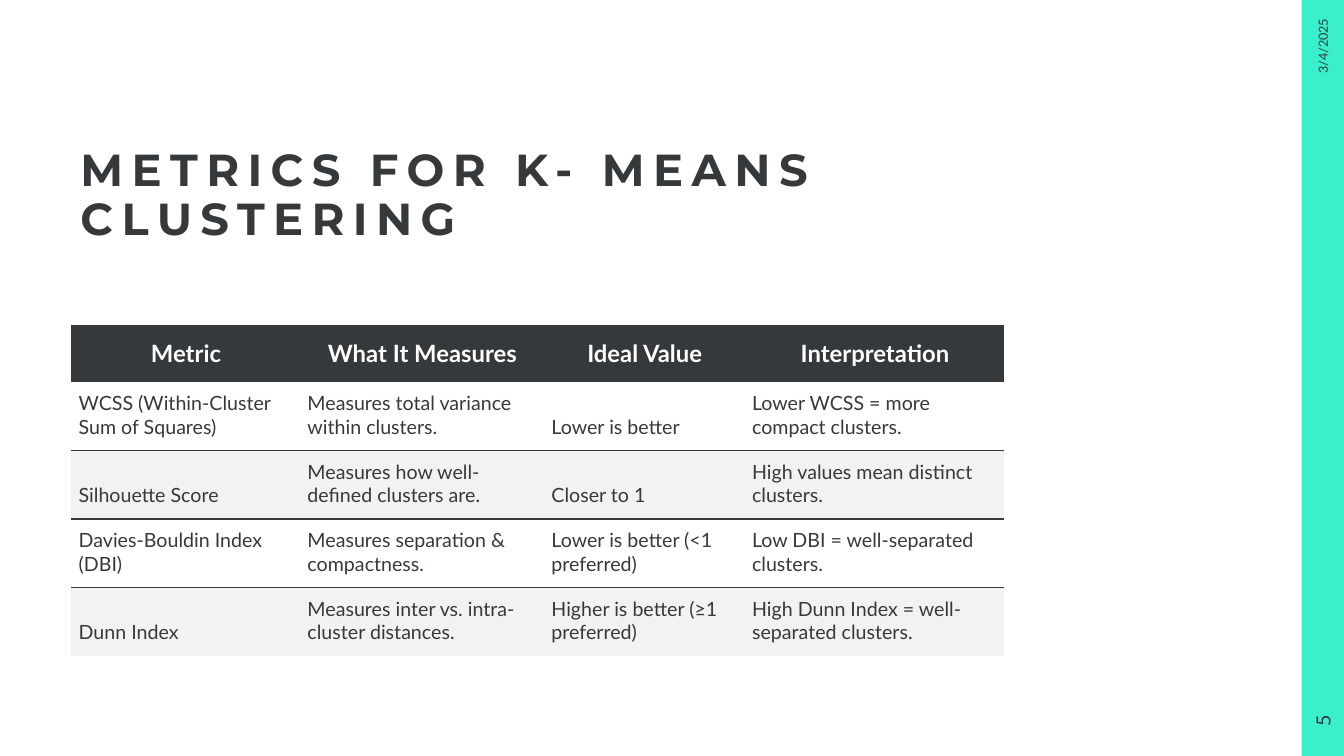
from dataclasses import dataclass

from lxml import etree
from pptx import Presentation
from pptx.dml.color import RGBColor
from pptx.enum.shapes import MSO_SHAPE
from pptx.enum.text import MSO_ANCHOR, PP_ALIGN
from pptx.oxml.ns import qn
from pptx.util import Inches, Pt

RECTANGLE = MSO_SHAPE.RECTANGLE
MIDDLE, BOTTOM = MSO_ANCHOR.MIDDLE, MSO_ANCHOR.BOTTOM
LEFT, CENTER = PP_ALIGN.LEFT, PP_ALIGN.CENTER
NO_STYLE = "{2D5ABB26-0587-4C30-8999-92F81FD0307C}"


@dataclass(frozen=True)
class Theme:
    dark: str = "36393B"
    white: str = "FFFFFF"
    accent: str = "3AEFCC"
    band: str = "F2F2F2"
    body: str = "Lato"
    heading: str = "Montserrat"
    title_size: int = 32
    header_size: int = 17
    body_size: int = 14
    date_size: int = 9
    spacing: int = 6


THEME = Theme()
COLUMN_WIDTHS = (2.27, 2.42, 1.99, 2.58)
HEADER_HEIGHT, ROW_HEIGHT = 0.57, 0.68
METRICS = (
    ("Metric", "What It Measures", "Ideal Value", "Interpretation"),
    ("WCSS (Within-Cluster Sum of Squares)", "Measures total variance within clusters.",
     "Lower is better", "Lower WCSS = more compact clusters."),
    ("Silhouette Score", "Measures how well-defined clusters are.",
     "Closer to 1", "High values mean distinct clusters."),
    ("Davies-Bouldin Index (DBI)", "Measures separation & compactness.",
     "Lower is better (<1 preferred)", "Low DBI = well-separated clusters."),
    ("Dunn Index", "Measures inter vs. intra-cluster distances.",
     "Higher is better (≥1 preferred)", "High Dunn Index = well-separated clusters."),
)


def set_attributes(target, values):
    for name, value in values.items():
        setattr(target, name, value)


def set_margins(target, left, top, right, bottom):
    set_attributes(target, {
        "margin_left": Inches(left), "margin_top": Inches(top),
        "margin_right": Inches(right), "margin_bottom": Inches(bottom),
    })


def write_text(tf, text, size, color=THEME.dark, font=THEME.body, bold=False, **paragraph):
    p = tf.paragraphs[0]
    set_attributes(p, paragraph)
    r = p.add_run()
    r.text = text
    set_attributes(r.font, {"name": font, "size": Pt(size), "bold": bold})
    r.font.color.rgb = RGBColor.from_string(color)
    return r


def add_text_box(s, box, anchor, rotation=0):
    sp = s.shapes.add_textbox(*map(Inches, box))
    sp.rotation = rotation
    set_attributes(sp.text_frame, {"word_wrap": True, "vertical_anchor": anchor})
    return sp.text_frame


def add_title(s, text):
    tf = add_text_box(s, (0.7, 0.73, 9.26, 1.7), BOTTOM)
    set_margins(tf, 0.1, 0.1, 0, 0)
    r = write_text(tf, text, THEME.title_size, font=THEME.heading, bold=True, line_spacing=0.9)
    r.font._element.set("spc", str(THEME.spacing * 100))


def add_side_bar(s):
    sp = s.shapes.add_shape(RECTANGLE, Inches(12.91), 0, Inches(0.42), Inches(7.5))
    sp.shadow.inherit = False
    sp.fill.solid()
    sp.fill.fore_color.rgb = RGBColor.from_string(THEME.accent)
    sp.line.fill.background()


def add_side_text(s, text, box, size):
    tf = add_text_box(s, box, MIDDLE, 270)
    write_text(tf, text, size, alignment=CENTER, space_after=Pt(6))


def add_border(cell, side):
    line = etree.SubElement(cell._tc.get_or_add_tcPr(), qn(f"a:{side}"), w=str(Pt(1)))
    fill = etree.SubElement(line, qn("a:solidFill"))
    etree.SubElement(fill, qn("a:srgbClr"), val=THEME.dark)


def format_cell(cell, text, row):
    header, banded = row == 0, row > 0 and row % 2 == 0
    cell.vertical_anchor = MIDDLE if header else BOTTOM
    set_margins(cell, 0.08, 0.12 if header else 0.03, 0.06, 0.12)
    if banded:
        add_border(cell, "lnT")
    elif row:
        add_border(cell, "lnB")
    if header or banded:
        cell.fill.solid()
        cell.fill.fore_color.rgb = RGBColor.from_string(THEME.dark if header else THEME.band)
    else:
        cell.fill.background()
    write_text(cell.text_frame, text,
               THEME.header_size if header else THEME.body_size,
               color=THEME.white if header else THEME.dark,
               bold=header, alignment=CENTER if header else LEFT)


def add_metrics_table(s):
    heights = [HEADER_HEIGHT] + [ROW_HEIGHT] * (len(METRICS) - 1)
    frame = s.shapes.add_table(len(heights), len(COLUMN_WIDTHS), Inches(0.7), Inches(3.22),
                               Inches(sum(COLUMN_WIDTHS)), Inches(sum(heights)))
    table = frame.table
    table._tbl.tblPr.find(qn("a:tableStyleId")).text = NO_STYLE
    for column, width in zip(table.columns, COLUMN_WIDTHS):
        column.width = Inches(width)
    for row, (values, height) in enumerate(zip(METRICS, heights)):
        table.rows[row].height = Inches(height)
        for column, text in enumerate(values):
            format_cell(table.cell(row, column), text, row)


def main():
    prs = Presentation()
    prs.slide_width, prs.slide_height = Inches(13.33), Inches(7.5)
    s = prs.slides.add_slide(prs.slide_layouts[6])
    add_side_bar(s)
    add_side_text(s, "3/4/2025", (12.66, 0.25, 0.92, 0.42), THEME.date_size)
    add_side_text(s, "5", (12.77, 6.94, 0.7, 0.42), THEME.body_size)
    add_title(s, "METRICS FOR K- MEANS CLUSTERING")
    add_metrics_table(s)
    prs.save("out.pptx")


if __name__ == "__main__":
    main()
